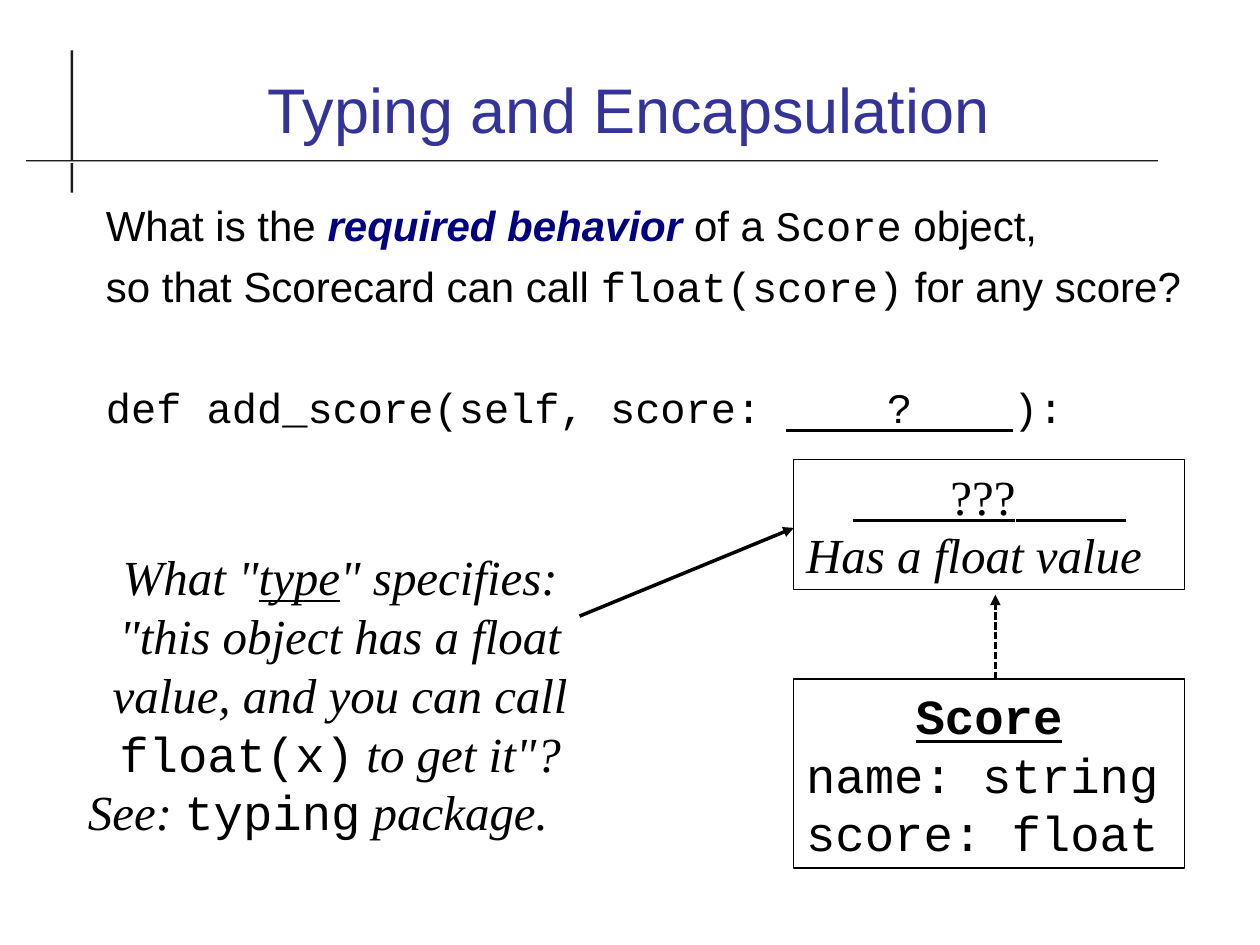
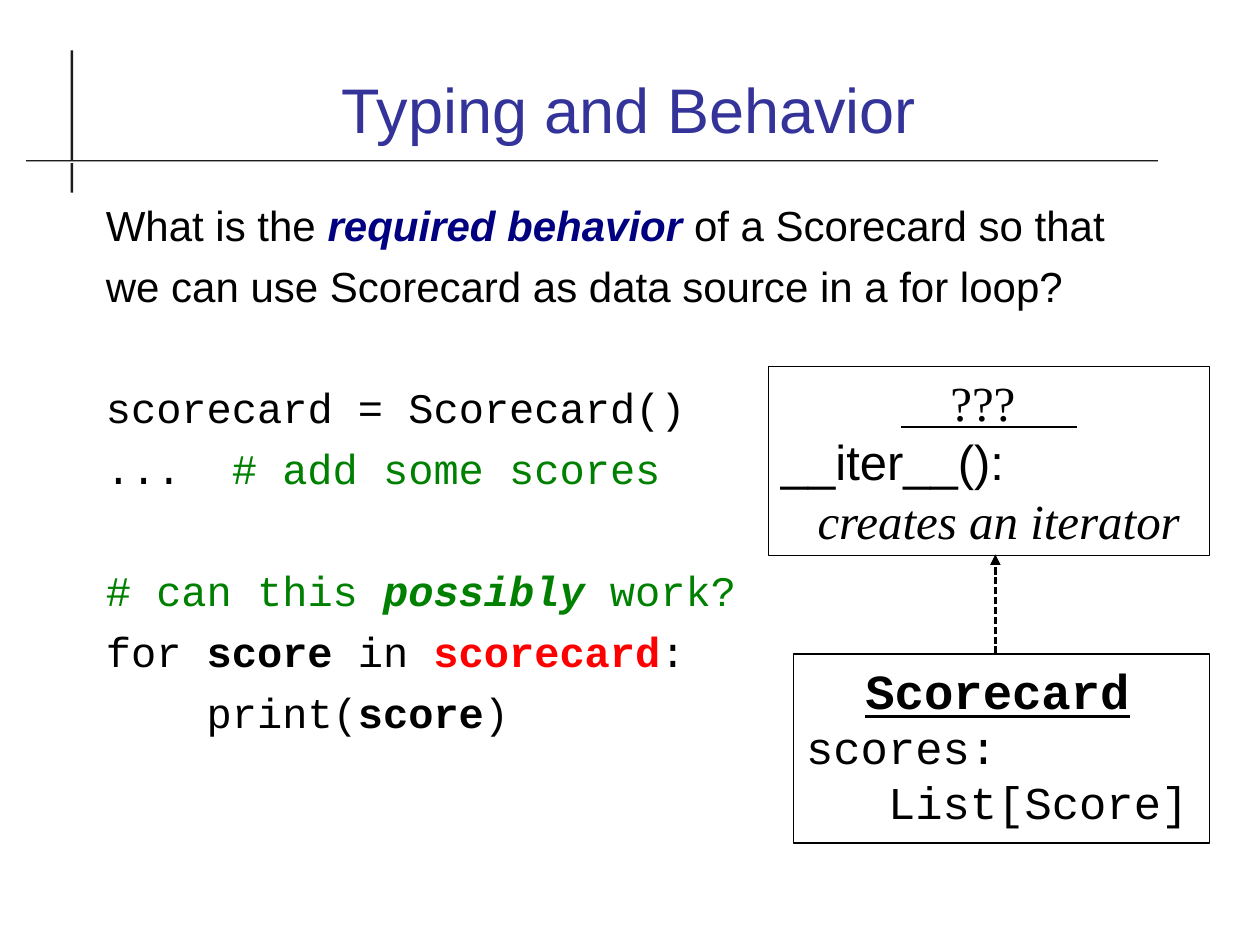
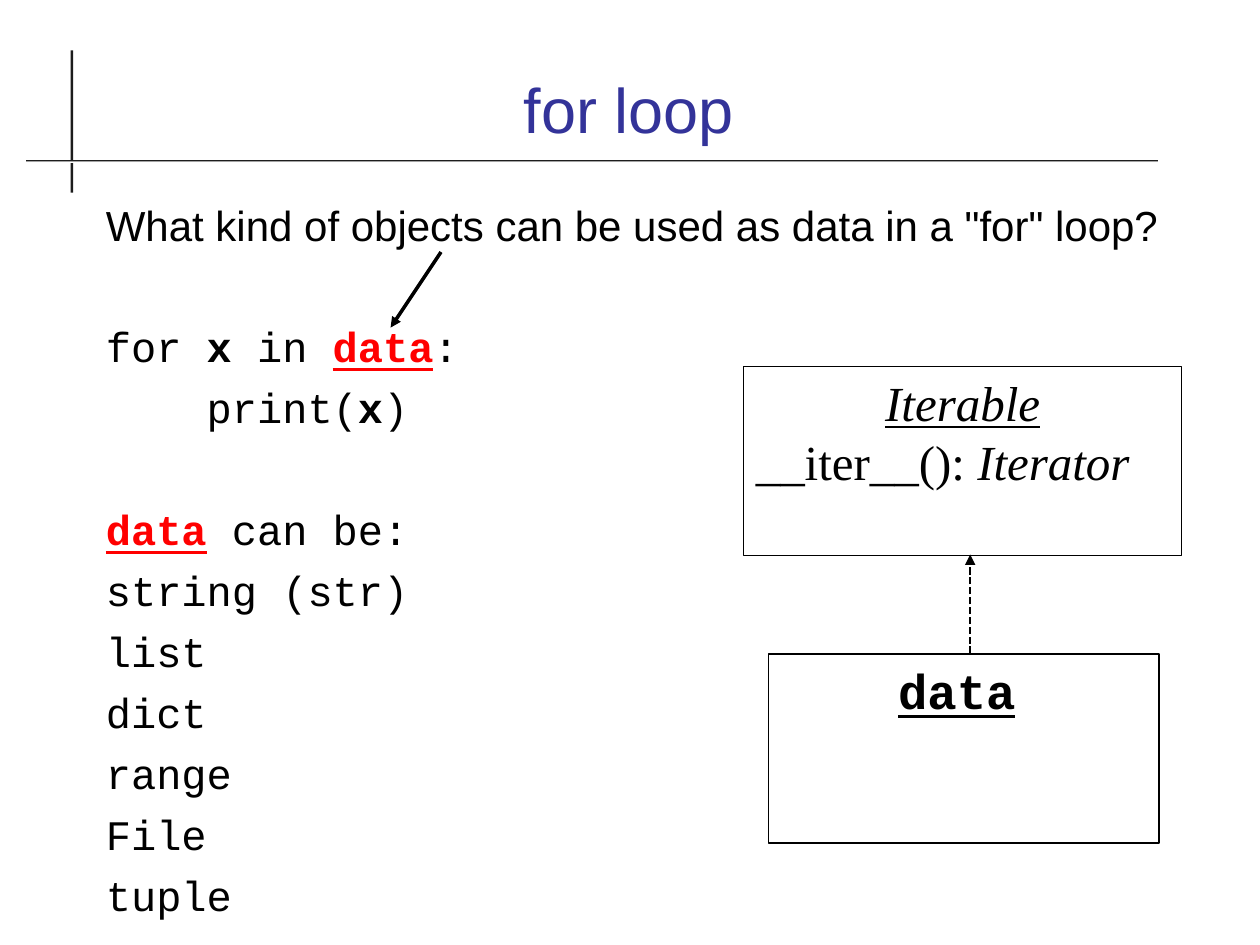
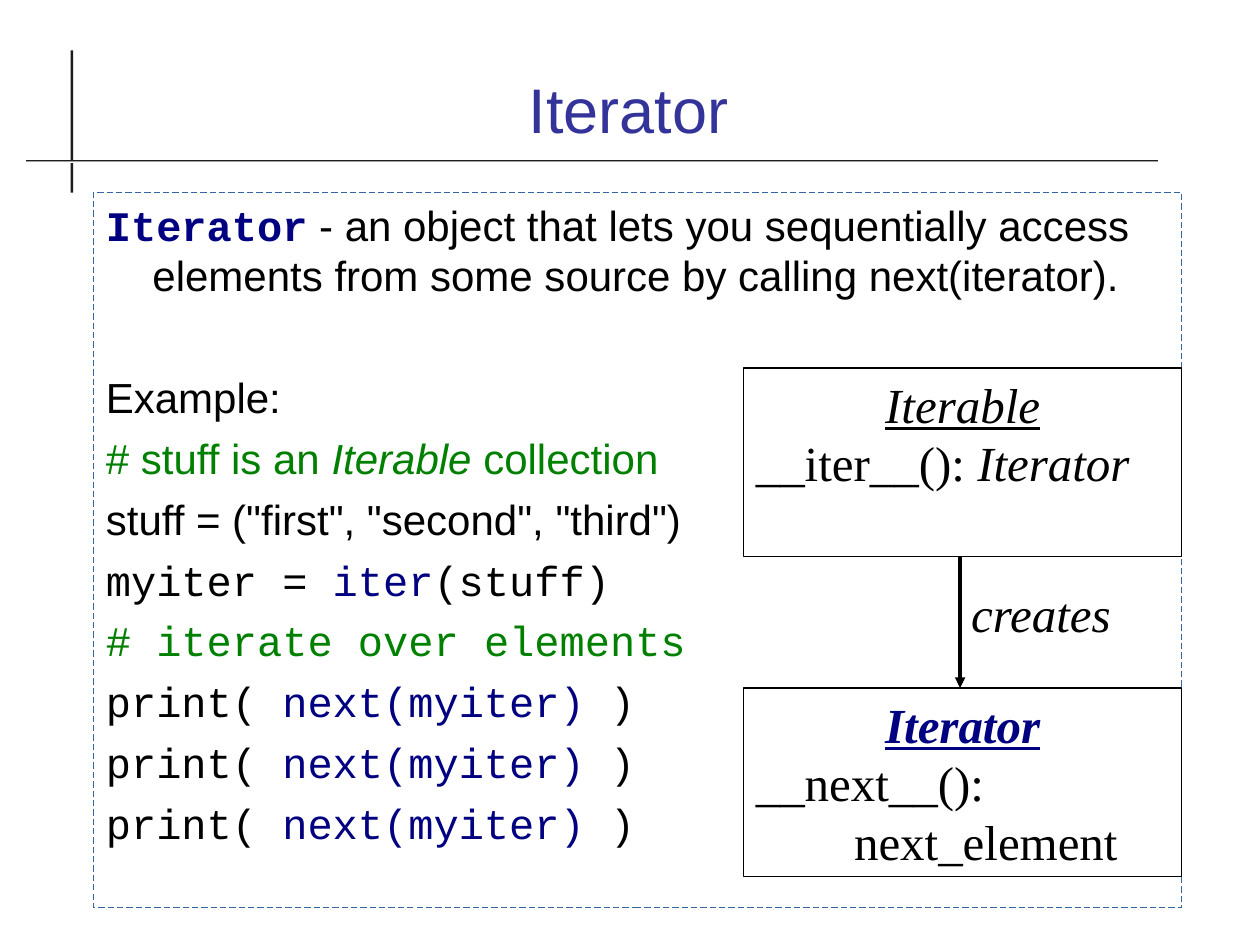
import dataclasses

import lxml.etree
import pptx
import pptx.dml.color
import pptx.enum.dml
import pptx.enum.shapes
import pptx.enum.text
import pptx.oxml.ns
import pptx.util

Inches = pptx.util.Inches
Pt = pptx.util.Pt
RGBColor = pptx.dml.color.RGBColor
Align = pptx.enum.text.PP_ALIGN
Anchor = pptx.enum.text.MSO_ANCHOR
RECTANGLE = pptx.enum.shapes.MSO_SHAPE.RECTANGLE
qn = pptx.oxml.ns.qn

BLACK = RGBColor(0x00, 0x00, 0x00)
WHITE = RGBColor(0xFF, 0xFF, 0xFF)
CHARCOAL = RGBColor(0x1C, 0x1C, 0x1C)
INDIGO = RGBColor(0x33, 0x33, 0x99)
NAVY = RGBColor(0x00, 0x00, 0x80)
GREEN = RGBColor(0x00, 0x80, 0x00)
RED = RGBColor(0xFF, 0x00, 0x00)
STEEL = RGBColor(0x34, 0x65, 0xA4)

SANS = "Arial"
MONO = "Courier New"
SERIF = "Times New Roman"

TITLE_SIZE = 36
BODY_SIZE = 24
BOX_SIZE = 28
LINE_HEIGHT = 1.2
BODY_GAP = 6
SECTION_GAP = 2 * BODY_GAP + LINE_HEIGHT * BODY_SIZE
HANGING = 0.37


@dataclasses.dataclass
class Span:
    text: str
    font: str = SANS
    color: RGBColor = BLACK
    bold: bool = False
    italic: bool = False
    underline: bool = False


@dataclasses.dataclass
class Line:
    spans: list
    size: float = BOX_SIZE
    align: Align = Align.LEFT
    left: float = 0
    hanging: float = 0
    before: float = 0


def code(text, **style):
    return Span(text, MONO, **style)


def serif(text, **style):
    return Span(text, SERIF, **style)


def body_line(*spans, before=BODY_GAP):
    return Line(list(spans), BODY_SIZE, left=HANGING, hanging=HANGING, before=before)


def section(*spans):
    return body_line(*spans, before=SECTION_GAP)


def box_line(*spans, **layout):
    return Line(list(spans), **layout)


def heading(*spans):
    return box_line(*spans, align=Align.CENTER)


def write_line(para, line):
    properties = para._p.get_or_add_pPr()
    properties.set("marL", str(Inches(line.left)))
    properties.set("indent", str(Inches(-line.hanging)))
    lxml.etree.SubElement(properties, qn("a:buNone"))
    para.alignment = line.align
    para.line_spacing = Pt(LINE_HEIGHT * line.size)
    para.space_before = Pt(line.before)
    for span in line.spans:
        run = para.add_run()
        run.text = span.text
        font = run.font
        font.size = Pt(line.size)
        font.name = span.font
        font.color.rgb = span.color
        font.bold = span.bold
        font.italic = span.italic
        font.underline = span.underline


def write_text(frame, lines, anchor=Anchor.TOP):
    frame.word_wrap = True
    frame.auto_size = pptx.enum.text.MSO_AUTO_SIZE.NONE
    frame.vertical_anchor = anchor
    for index, line in enumerate(lines):
        para = frame.add_paragraph() if index else frame.paragraphs[0]
        write_line(para, line if index else dataclasses.replace(line, before=0))


def place(shape, left, top, width, height):
    shape.left, shape.top = Inches(left), Inches(top)
    shape.width, shape.height = Inches(width), Inches(height)


def add_rectangle(page, left, top, width, height):
    shape = page.shapes.add_shape(
        RECTANGLE, Inches(left), Inches(top), Inches(width), Inches(height))
    shape.shadow.inherit = False
    return shape


def add_class_box(page, left, top, width, height, lines):
    box = add_rectangle(page, left, top, width, height)
    box.fill.background()
    box.line.color.rgb = BLACK
    box.line.width = Pt(0)
    write_text(box.text_frame, lines)


def add_label(page, left, top, width, height, lines):
    label = page.shapes.add_textbox(
        Inches(left), Inches(top), Inches(width), Inches(height))
    write_text(label.text_frame, lines)


def add_arrow(page, start, end, dashed=False):
    arrow = page.shapes.add_connector(
        pptx.enum.shapes.MSO_CONNECTOR.STRAIGHT,
        *(Inches(value) for value in (*start, *end)))
    arrow.line.color.rgb = BLACK
    arrow.line.width = Pt(1.42 if dashed else 0)
    if dashed:
        arrow.line.dash_style = pptx.enum.dml.MSO_LINE.SQUARE_DOT
    outline = arrow.line._get_or_add_ln()
    lxml.etree.SubElement(outline, qn("a:tailEnd"), type="triangle")
    lxml.etree.SubElement(arrow.element.spPr, qn("a:effectLst"))


def decorate_layout(layout, page):
    place(layout.placeholders[0], 0.67, 0.28, 8.64, 0.93)
    place(layout.placeholders[1], 0.74, 1.53, 8.64, 5.57)
    post = add_rectangle(page, 0.56, 0.4, 0.02, 1.13)
    post.fill.solid()
    post.fill.fore_color.rgb = CHARCOAL
    rule = add_rectangle(page, 0.21, 1.27, 8.98, 0.02)
    rule.fill.gradient()
    rule.fill.gradient_angle = 90
    for stop, position, color in zip(rule.fill.gradient_stops, (0, 1), (WHITE, CHARCOAL)):
        stop.position = position
        stop.color.rgb = color
    for index, shape in enumerate((post, rule)):
        shape.line.fill.background()
        layout.shapes.element.insert(2 + index, shape.element)


def add_page(deck, title, lines, body_width=8.64, body_height=5.57):
    layout = deck.slide_layouts[1]
    page = deck.slides.add_slide(layout)
    if len(deck.slides) == 1:
        decorate_layout(layout, page)
    title_line = Line([Span(title, color=INDIGO)], TITLE_SIZE, Align.CENTER)
    write_text(page.shapes.title.text_frame, [title_line], Anchor.BOTTOM)
    body = page.placeholders[1]
    place(body, 0.74, 1.53, body_width, body_height)
    write_text(body.text_frame, lines)
    return page


def required_behavior():
    return Span("required behavior", color=NAVY, bold=True, italic=True)


def add_iterable_box(page, top):
    add_class_box(page, 5.9, top, 3.48, 1.5, [
        heading(serif("Iterable", italic=True, underline=True)),
        box_line(serif("__iter__(): "), serif("Iterator", italic=True)),
    ])


def add_encapsulation_page(deck):
    page = add_page(deck, "Typing and Encapsulation", [
        body_line(Span("What is the "), required_behavior(), Span(" of a "),
                  code("Score"), Span(" object,")),
        body_line(Span("so that Scorecard can call "), code("float(score)"),
                  Span(" for any score?")),
        section(code("def add_score(self, score: "),
                code("    ?    ", underline=True), code("):")),
    ], 9.26, 2.67)
    add_class_box(page, 6.3, 5.39, 3.1, 1.5, [
        heading(code("Score", bold=True, underline=True)),
        box_line(code("name: string")),
        box_line(code("score: float")),
    ])
    add_arrow(page, (7.9, 5.39), (7.9, 4.72), dashed=True)
    add_class_box(page, 6.3, 3.65, 3.1, 1.03, [
        heading(serif("        ", italic=True, underline=True),
                serif("???", underline=True),
                serif("         ", italic=True, underline=True)),
        box_line(serif("Has a float value", italic=True)),
    ])
    add_label(page, 0.6, 4.29, 4.2, 2.81, [
        heading(serif('What "', italic=True),
                serif("type", italic=True, underline=True),
                serif('" specifies: "this object has a float value, and you can call ',
                      italic=True),
                code("float(x)"), serif(' to get it"?', italic=True)),
        box_line(serif("See: ", italic=True), code("typing"),
                 serif(" package.", italic=True)),
    ])
    add_arrow(page, (4.6, 4.89), (6.3, 4.19))


def add_behavior_page(deck):
    page = add_page(deck, "Typing and Behavior", [
        body_line(Span("What is the "), required_behavior(),
                  Span(" of a Scorecard so that")),
        body_line(Span("we can use Scorecard as data source in a for loop?")),
        section(code("scorecard = Scorecard()")),
        body_line(code("...  "), code("# add some scores", color=GREEN)),
        section(code("# can this ", color=GREEN),
                code("possibly", color=GREEN, bold=True, italic=True),
                code(" work?", color=GREEN)),
        body_line(code("for "), code("score", bold=True), code(" in "),
                  code("scorecard", color=RED, bold=True), code(":")),
        body_line(code("    print("), code("score", bold=True), code(")")),
    ], body_height=4.87)
    add_class_box(page, 6.3, 5.19, 3.3, 1.5, [
        box_line(code("Scorecard", bold=True, underline=True), left=0.47),
        box_line(code("scores:"), size=26),
        box_line(code("List[Score]"), size=26, left=0.65),
    ])
    add_arrow(page, (7.9, 5.19), (7.9, 4.4), dashed=True)
    add_class_box(page, 6.1, 2.91, 3.5, 1.5, [
        heading(serif("    ", italic=True, underline=True),
                serif("???", underline=True),
                serif("     ", italic=True, underline=True)),
        box_line(Span("__iter__():")),
        box_line(serif("creates an iterator", italic=True), left=0.29),
    ])


def add_for_loop_page(deck):
    data = code("data", color=RED, bold=True, underline=True)
    kinds = ("string (str)", "list", "dict", "range", "File", "tuple")
    page = add_page(deck, "for loop", [
        body_line(Span('What kind of objects can be used as data in a "for" loop?')),
        section(code("for "), code("x", bold=True), code(" in "), data, code(":")),
        body_line(code("    print("), code("x", bold=True), code(")")),
        section(data, code(" can be:")),
        *(body_line(code(kind)) for kind in kinds),
    ])
    add_class_box(page, 6.1, 5.19, 3.1, 1.5, [
        box_line(code("data", bold=True, underline=True), left=0.93),
    ])
    add_arrow(page, (7.7, 5.19), (7.7, 4.4), dashed=True)
    add_iterable_box(page, 2.91)
    add_arrow(page, (3.5, 2), (3.1, 2.6))


def add_iterator_page(deck):
    print_next = body_line(code("print( "), code("next(myiter)", color=NAVY), code(" )"))
    page = add_page(deck, "Iterator", [
        body_line(code("Iterator", color=NAVY, bold=True),
                  Span(" - an object that lets you sequentially access elements "
                       "from some source by calling next(iterator).")),
        section(Span("Example:")),
        body_line(Span("# stuff is an ", color=GREEN),
                  Span("Iterable", color=GREEN, italic=True),
                  Span(" collection", color=GREEN)),
        body_line(Span('stuff = ("first", "second", "third")')),
        body_line(code("myiter = "), code("iter", color=NAVY), code("(stuff)")),
        body_line(code("# iterate over elements", color=GREEN)),
        *[print_next] * 3,
    ], body_height=5.67)
    border = page.placeholders[1].line
    border.color.rgb = STEEL
    border.width = Pt(0)
    border.dash_style = pptx.enum.dml.MSO_LINE.DASH
    add_class_box(page, 5.9, 5.46, 3.48, 1.5, [
        heading(serif("Iterator", color=NAVY, bold=True, italic=True, underline=True)),
        box_line(serif("__next__():")),
        box_line(serif("next_element"), left=0.78),
    ])
    add_iterable_box(page, 2.92)
    add_arrow(page, (7.62, 4.42), (7.62, 5.46))
    add_label(page, 7.61, 4.58, 1.5, 0.57, [box_line(serif("creates", italic=True))])


def main():
    deck = pptx.Presentation()
    deck.slide_width = Inches(10)
    deck.slide_height = Inches(7.5)
    add_encapsulation_page(deck)
    add_behavior_page(deck)
    add_for_loop_page(deck)
    add_iterator_page(deck)
    deck.save("out.pptx")


if __name__ == "__main__":
    main()
